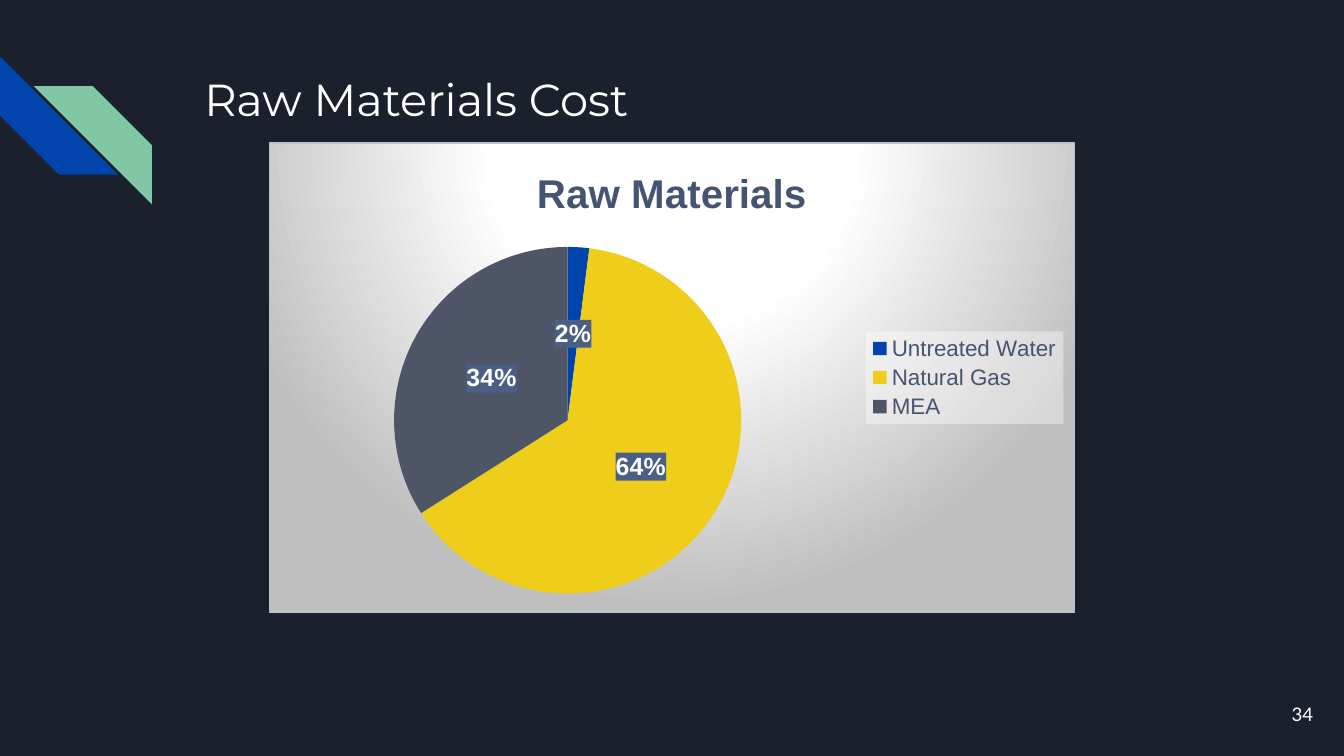
"""Build the raw materials cost slide with its pie chart."""
from pptx import Presentation
from pptx.chart.data import CategoryChartData
from pptx.dml.color import RGBColor
from pptx.enum.chart import XL_CHART_TYPE, XL_LABEL_POSITION, XL_LEGEND_POSITION
from pptx.enum.shapes import MSO_SHAPE
from pptx.enum.text import MSO_ANCHOR, PP_ALIGN
from pptx.oxml import parse_xml
from pptx.oxml.ns import nsdecls, qn
from pptx.util import Inches, Pt

NAVY = RGBColor(0x1B, 0x21, 0x2C)
BLUE = RGBColor(0x01, 0x45, 0xAC)
GREEN = RGBColor(0x82, 0xC7, 0xA5)
YELLOW = RGBColor(0xEE, 0xCE, 0x1A)
GRAY = RGBColor(0x4E, 0x55, 0x67)
SLATE = RGBColor(0x45, 0x54, 0x70)
LABEL_BLUE = RGBColor(0x4B, 0x5F, 0x85)
BORDER = RGBColor(0xBB, 0xC4, 0xD5)
SILVER = RGBColor(0xBF, 0xBF, 0xBF)
WHITE = RGBColor(0xFF, 0xFF, 0xFF)

MATERIALS = [("Untreated Water", 2, BLUE), ("Natural Gas", 64, YELLOW), ("MEA", 34, GRAY)]


def set_font(font, name, size, color, bold=False):
    font.name = name
    font.size = Pt(size)
    font.color.rgb = color
    font.bold = bold


def write_text(shape, text, font_name, size, anchor, alignment):
    frame = shape.text_frame
    frame.word_wrap = True
    frame.vertical_anchor = anchor
    frame.margin_left = frame.margin_right = Inches(0.1)
    frame.margin_top = frame.margin_bottom = Inches(0.1)
    paragraph = frame.paragraphs[0]
    paragraph.text = text
    paragraph.alignment = alignment
    set_font(paragraph.font, font_name, size, WHITE)


def add_stripe(page, left, top, color, rotation=0, flipped=False):
    stripe = page.shapes.add_shape(
        MSO_SHAPE.DIAGONAL_STRIPE, Inches(left), Inches(top), Inches(0.88), Inches(0.88))
    stripe.shadow.inherit = False
    stripe.fill.solid()
    stripe.fill.fore_color.rgb = color
    stripe.line.fill.background()
    stripe.rotation = rotation
    if flipped:
        stripe.element.spPr.xfrm.set("flipH", "1")


def solid_fill(color, opacity=100):
    return (f'<a:solidFill><a:srgbClr val="{color}"><a:alpha val="{opacity * 1000}"/>'
            '</a:srgbClr></a:solidFill>')


def radial_fill(stops):
    marks = "".join(f'<a:gs pos="{position * 1000}"><a:srgbClr val="{color}"/></a:gs>'
                    for position, color in stops)
    return (f'<a:gradFill><a:gsLst>{marks}</a:gsLst><a:path path="circle">'
            '<a:fillToRect l="50000" t="-80000" r="50000" b="180000"/></a:path></a:gradFill>')


def format_area(element, fill, line="<a:ln><a:noFill/></a:ln>"):
    properties = parse_xml(f'<c:spPr {nsdecls("c", "a")}>{fill}{line}</c:spPr>')
    element.find(qn("c:txPr")).addprevious(properties)


def add_pie(page):
    data = CategoryChartData()
    data.categories = [name for name, _, _ in MATERIALS]
    data.add_series("Series 1", [share for _, share, _ in MATERIALS])
    chart = page.shapes.add_chart(
        XL_CHART_TYPE.PIE, Inches(2), Inches(1.06), Inches(6), Inches(3.5), data).chart
    set_font(chart.font, "Arial", 10, NAVY)

    chart.has_title = True
    heading = chart.chart_title.text_frame.paragraphs[0]
    heading.text = "Raw Materials"
    set_font(heading.font, "Arial", 21.6, SLATE, bold=True)

    chart.has_legend = True
    chart.legend.position = XL_LEGEND_POSITION.RIGHT
    chart.legend.include_in_layout = False
    set_font(chart.legend.font, "Arial", 12, SLATE)

    plot = chart.plots[0]
    plot.vary_by_categories = True
    series = plot.series[0]
    for index, (_, _, color) in enumerate(MATERIALS):
        point = series.points[index]
        point.format.fill.solid()
        point.format.fill.fore_color.rgb = color
    labels = series.data_labels
    labels.show_percentage = True
    labels.show_value = False
    labels.number_format = "0%"
    labels.number_format_is_linked = False
    labels.position = XL_LABEL_POSITION.CENTER
    set_font(labels.font, "Arial", 13.3, WHITE, bold=True)

    space = chart.element
    outline = f'<a:ln w="{Pt(0.75)}">{solid_fill(BORDER)}</a:ln>'
    format_area(space, radial_fill([(0, WHITE), (39, WHITE), (100, SILVER)]), outline)
    format_area(next(space.iter(qn("c:legend"))), solid_fill(WHITE, 40))
    format_area(next(space.iter(qn("c:dLbls"))), solid_fill(LABEL_BLUE))


def main():
    deck = Presentation()
    deck.slide_width = Inches(10)
    deck.slide_height = deck.slide_width * 9 // 16
    page = deck.slides.add_slide(deck.slide_layouts[5])
    page.background.fill.solid()
    page.background.fill.fore_color.rgb = NAVY

    add_stripe(page, 0, 0.42, BLUE, rotation=270)
    add_stripe(page, 0.25, 0.64, GREEN, flipped=True)

    title = page.shapes.title
    title.left, title.top = Inches(1.42), Inches(0.43)
    title.width, title.height = Inches(7.7), Inches(1)
    write_text(title, "Raw Materials Cost", "Montserrat", 24, MSO_ANCHOR.TOP, PP_ALIGN.LEFT)

    number = page.shapes.add_textbox(Inches(9.27), Inches(5.1), Inches(0.6), Inches(0.43))
    write_text(number, "34", "Lato", 10, MSO_ANCHOR.MIDDLE, PP_ALIGN.RIGHT)
    add_pie(page)
    deck.save("out.pptx")


if __name__ == "__main__":
    main()
